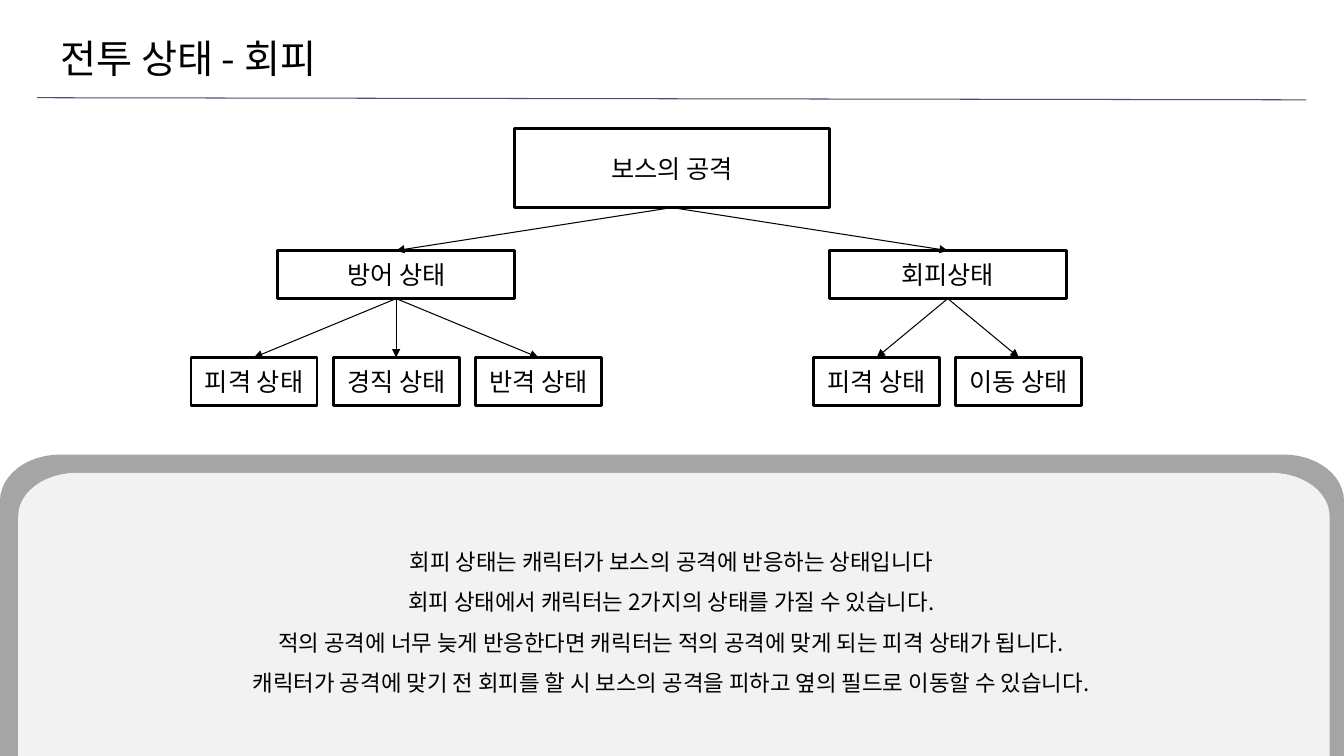
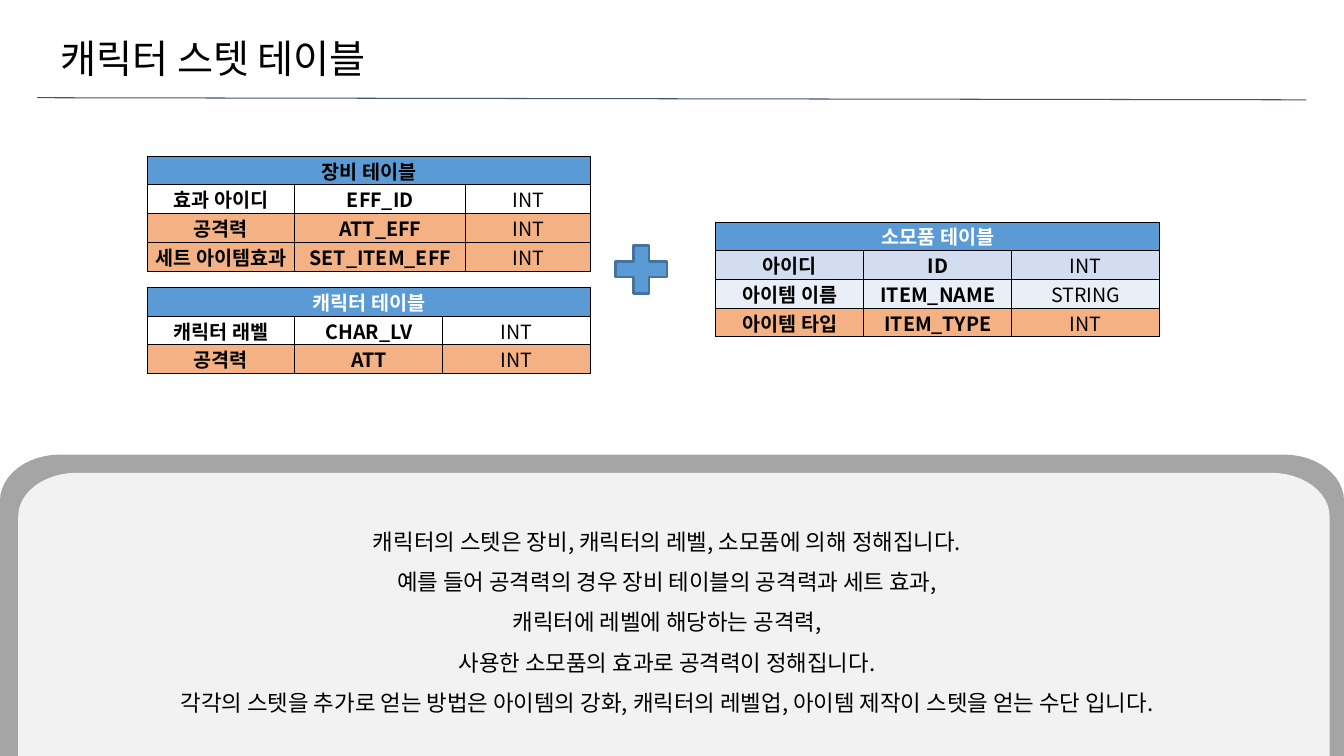
import math
from dataclasses import dataclass

from lxml import etree
from pptx import Presentation
from pptx import util as u
from pptx.dml.color import RGBColor
from pptx.enum import shapes, text
from pptx.oxml import ns


@dataclass(frozen=True)
class Theme:
    font: str = "Noto Sans CJK KR"
    title_size: int = 28
    body_size: int = 16
    box_size: int = 18
    cell_size: int = 14
    black: str = "000000"
    white: str = "FFFFFF"
    rule: str = "44546A"
    band: str = "A5A5A5"
    panel: str = "F2F2F2"
    blue: str = "5B9BD5"
    blue_edge: str = "43739E"
    blue_light: str = "D2DEEF"
    blue_pale: str = "EAEFF7"
    orange: str = "F4B183"


THEME = Theme()
WIDTH, HEIGHT = 960, 540
ROW_HEIGHT = 20.5


def points(*lengths):
    return [u.Pt(length) for length in lengths]


def rgb(code):
    return RGBColor.from_string(code)


def add_xml(parent, tag, **attributes):
    return etree.SubElement(parent, ns.qn(tag), attributes)


def format_para(para, size, color=THEME.black, bold=False, align=text.PP_ALIGN.CENTER):
    para.alignment = align
    for span in para.runs:
        span.font.size = u.Pt(size)
        span.font.bold = bold
        span.font.color.rgb = rgb(color)
        span.font.name = THEME.font
        add_xml(span.font._element, "a:ea", typeface=THEME.font)


def paint(shape, fill, edge=None):
    shape.shadow.inherit = False
    shape.fill.solid()
    shape.fill.fore_color.rgb = rgb(fill)
    if edge:
        shape.line.color.rgb = rgb(edge)
        shape.line.width = u.Pt(2)
    else:
        shape.line.fill.background()


def add_line(page, start=(0, 0), end=(0, 0), color=THEME.black):
    line = page.shapes.add_connector(
        shapes.MSO_CONNECTOR.STRAIGHT, *points(*start, *end))
    line.line.color.rgb = rgb(color)
    line.line.width = u.Pt(0.75)
    add_xml(line._element.spPr, "a:effectLst")
    return line


def add_arrow(page, parent, child):
    """Point from the bottom of one box to the top of another."""
    arrow = add_line(page)
    arrow.begin_connect(parent, 2)
    arrow.end_connect(child, 0)
    add_xml(arrow.line._get_or_add_ln(), "a:tailEnd", type="triangle")


def add_panel(page, left, top, right, radius_x, radius_y, fill):
    """Draw a panel with rounded top corners, down to the foot of the page."""
    quarter = [math.radians(step * 7.5) for step in range(13)]
    left_arc = [(left + radius_x * (1 - math.cos(angle)),
                 top + radius_y * (1 - math.sin(angle))) for angle in quarter]
    right_arc = [(left + right - x, y) for x, y in reversed(left_arc)]
    outline = [points(*corner) for corner in
               [(left, HEIGHT), *left_arc, *right_arc, (right, HEIGHT)]]
    builder = page.shapes.build_freeform(*outline[0])
    builder.add_line_segments(outline[1:], close=True)
    paint(builder.convert_to_shape(), fill)


def add_text(page, left, top, width, height, lines, size,
             anchor=text.MSO_ANCHOR.MIDDLE, align=text.PP_ALIGN.CENTER, spacing=1):
    frame = page.shapes.add_textbox(*points(left, top, width, height)).text_frame
    frame.word_wrap = True
    frame.vertical_anchor = anchor
    frame.text = "\n".join(lines)
    for para in frame.paragraphs:
        para.line_spacing = spacing
        format_para(para, size, align=align)


def add_page(deck, title, body, body_left):
    page = deck.slides.add_slide(deck.slide_layouts[6])
    add_line(page, (26.6, 69.8), (933, 71.3), THEME.rule)
    add_panel(page, 0, 324.7, WIDTH, 43, 33, THEME.band)
    add_panel(page, 13, 337.7, 949.7, 42, 31, THEME.panel)
    add_text(page, 36, 21, 897, 41, [title], THEME.title_size,
             text.MSO_ANCHOR.BOTTOM, text.PP_ALIGN.LEFT)
    add_text(page, body_left, 363, 880, 153, body, THEME.body_size, spacing=1.5)
    return page


def add_box(page, center, top, width, height, label):
    box = page.shapes.add_shape(
        shapes.MSO_SHAPE.RECTANGLE, *points(center - width / 2, top, width, height))
    paint(box, THEME.white, THEME.black)
    box.text_frame.text = label
    box.text_frame.vertical_anchor = text.MSO_ANCHOR.MIDDLE
    format_para(box.text_frame.paragraphs[0], THEME.box_size)
    return box


def add_state_tree(page, root_label, branches):
    """Draw a root, two branches at equal distance from it, and their leaves."""
    middle, branch_offset, leaf_pitch = WIDTH / 2, 197, 101.5
    root = add_box(page, middle, 92, 225, 56.3, root_label)
    for side, (branch_label, leaf_labels) in zip((-1, 1), branches):
        center = middle + side * branch_offset
        branch = add_box(page, center, 179, 169.5, 34.3, branch_label)
        add_arrow(page, root, branch)
        first = center - leaf_pitch * (len(leaf_labels) - 1) / 2
        for index, leaf_label in enumerate(leaf_labels):
            leaf = add_box(page, first + index * leaf_pitch, 255.3, 90, 34.3, leaf_label)
            add_arrow(page, branch, leaf)


def format_cell(cell, fill, color, bold):
    cell.margin_left = cell.margin_right = cell.margin_top = cell.margin_bottom = 0
    cell.vertical_anchor = text.MSO_ANCHOR.MIDDLE
    properties = cell._tc.get_or_add_tcPr()
    for side in ("a:lnL", "a:lnR", "a:lnT", "a:lnB"):
        border = add_xml(properties, side, w=str(u.Pt(0.75)))
        add_xml(add_xml(border, "a:solidFill"), "a:srgbClr", val=THEME.black)
    cell.fill.solid()
    cell.fill.fore_color.rgb = rgb(fill)
    format_para(cell.text_frame.paragraphs[0], THEME.cell_size, color, bold)


def add_field_table(page, left, top, heading, fields, fills,
                    heading_color=THEME.white, widths=(105.7, 105.7, 105.7)):
    """Draw a heading row over rows of label, field name and type."""
    rows = [(heading, "", ""), *fields]
    table = page.shapes.add_table(
        len(rows), len(widths),
        *points(left, top, sum(widths), ROW_HEIGHT * len(rows))).table
    table.first_row = table.horz_banding = False
    for column, width in zip(table.columns, widths):
        column.width = u.Pt(width)
    for row, values, fill in zip(table.rows, rows, (THEME.blue, *fills)):
        row.height = u.Pt(ROW_HEIGHT)
        color = heading_color if values is rows[0] else THEME.black
        for index, (cell, value) in enumerate(zip(row.cells, values)):
            cell.text = value
            format_cell(cell, fill, color, bold=index < 2)
    table.cell(0, 0).merge(table.cell(0, len(widths) - 1))


def add_dodge_page(deck):
    page = add_page(deck, "전투 상태 - 회피", [
        "회피 상태는 캐릭터가 보스의 공격에 반응하는 상태입니다",
        "회피 상태에서 캐릭터는 2가지의 상태를 가질 수 있습니다.",
        "적의 공격에 너무 늦게 반응한다면 캐릭터는 적의 공격에 맞게 되는 피격 상태가 됩니다.",
        "캐릭터가 공격에 맞기 전 회피를 할 시 보스의 공격을 피하고 옆의 필드로 이동할 수 있습니다.",
    ], body_left=39.5)
    add_state_tree(page, "보스의 공격", [
        ("방어 상태", ["피격 상태", "경직 상태", "반격 상태"]),
        ("회피상태", ["피격 상태", "이동 상태"]),
    ])


def add_stat_page(deck):
    page = add_page(deck, "캐릭터 스텟 테이블", [
        "캐릭터의 스텟은 장비, 캐릭터의 레벨, 소모품에 의해 정해집니다.",
        "예를 들어 공격력의 경우 장비 테이블의 공격력과 세트 효과,",
        "캐릭터에 레벨에 해당하는 공격력,",
        "사용한 소모품의 효과로 공격력이 정해집니다.",
        "각각의 스텟을 추가로 얻는 방법은 아이템의 강화, 캐릭터의 레벨업, 아이템 제작이 스텟을 얻는 수단 입니다.",
    ], body_left=36.5)
    add_field_table(page, 105, 111.6, "장비 테이블", [
        ("효과 아이디", "EFF_ID", "INT"),
        ("공격력", "ATT_EFF", "INT"),
        ("세트 아이템효과", "SET_ITEM_EFF", "INT"),
    ], (THEME.white, THEME.orange, THEME.orange), THEME.black, (105.7, 122, 89.4))
    add_field_table(page, 105, 205.4, "캐릭터 테이블", [
        ("캐릭터 래벨", "CHAR_LV", "INT"),
        ("공격력", "ATT", "INT"),
    ], (THEME.white, THEME.orange))
    plus = page.shapes.add_shape(
        shapes.MSO_SHAPE.MATH_PLUS, *points(433.3, 169, 49.7, 46.8))
    paint(plus, THEME.blue, THEME.blue_edge)
    add_field_table(page, 511.4, 158.6, "소모품 테이블", [
        ("아이디", "ID", "INT"),
        ("아이템 이름", "ITEM_NAME", "STRING"),
        ("아이템 타입", "ITEM_TYPE", "INT"),
    ], (THEME.blue_light, THEME.blue_pale, THEME.orange))


def main():
    deck = Presentation()
    deck.slide_width, deck.slide_height = points(WIDTH, HEIGHT)
    add_dodge_page(deck)
    add_stat_page(deck)
    deck.save("out.pptx")


if __name__ == "__main__":
    main()
